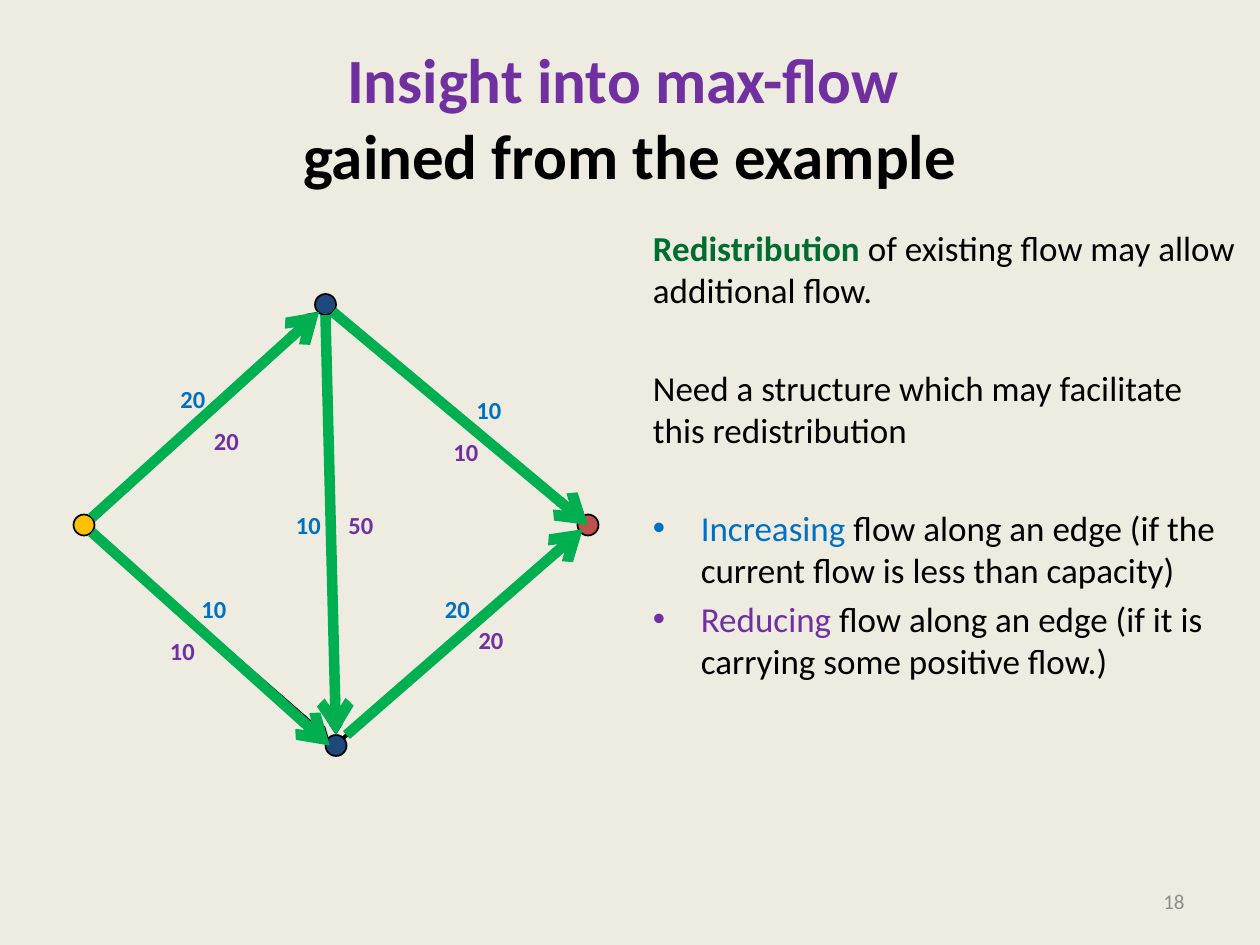
"""Build a slide on redistributing flow in a max-flow network."""
from typing import NamedTuple

import lxml.etree
import pptx
import pptx.dml.color
import pptx.enum.shapes
import pptx.enum.text
import pptx.oxml.ns
import pptx.util

RGBColor = pptx.dml.color.RGBColor
Align = pptx.enum.text.PP_ALIGN
Anchor = pptx.enum.text.MSO_ANCHOR

BLACK = RGBColor(0x00, 0x00, 0x00)
PAPER = RGBColor(0xEE, 0xEC, 0xE1)
PURPLE = RGBColor(0x70, 0x30, 0xA0)
BLUE = RGBColor(0x00, 0x70, 0xC0)
GREEN = RGBColor(0x00, 0xB0, 0x50)
DARK_GREEN = RGBColor(0x00, 0x6C, 0x31)
NAVY = RGBColor(0x1F, 0x49, 0x7D)
GOLD = RGBColor(0xFF, 0xC0, 0x00)
RED = RGBColor(0xC0, 0x50, 0x4D)
GRAY = RGBColor(0x8C, 0x8C, 0x8C)

COLUMNS, ROWS = 120, 90
CELL = pptx.util.Inches(10) // COLUMNS
FONT = "Calibri"
BULLET_INDENT = pptx.util.Inches(0.38)


class Point(NamedTuple):
    """A place on the grid, in columns and rows."""
    column: float
    row: float


class Node(NamedTuple):
    """A vertex of the network."""
    center: Point
    color: RGBColor


class Edge(NamedTuple):
    """A directed edge with the ends of its flow arrow."""
    tail: Point
    head: Point
    flow_tail: Point
    flow_head: Point


class Label(NamedTuple):
    """A number beside an edge."""
    text: str
    corner: Point
    color: RGBColor


class Statement(NamedTuple):
    """A sentence that opens with a highlighted word."""
    lead: str
    rest: str
    color: RGBColor = BLACK
    bold: bool = False
    bullet: bool = False
    space: float = 0


NODES = [
    Node(Point(8, 50), GOLD),
    Node(Point(31, 29), NAVY),
    Node(Point(32, 71), NAVY),
    Node(Point(56, 50), RED),
]
EDGES = [
    Edge(Point(8.75, 49.3), Point(30.3, 29.7), Point(8.75, 49.3), Point(30.4, 29.7)),
    Edge(Point(31, 30), Point(32, 70), Point(31, 30), Point(32, 70)),
    Edge(Point(32.7, 70.3), Point(55.3, 50.7), Point(33, 70), Point(55.5, 50.4)),
    Edge(Point(8.75, 50.7), Point(31.3, 70.3), Point(8.75, 50.7), Point(31.4, 71)),
    Edge(Point(31.7, 29.7), Point(55.3, 49.3), Point(31.7, 29.7), Point(56, 50)),
]
LABELS = [
    Label("20", Point(16, 36), BLUE),
    Label("20", Point(19.2, 40), PURPLE),
    Label("10", Point(44.2, 37), BLUE),
    Label("10", Point(42, 41), PURPLE),
    Label("10", Point(27, 48), BLUE),
    Label("50", Point(32, 48), PURPLE),
    Label("10", Point(18, 56), BLUE),
    Label("10", Point(15, 60), PURPLE),
    Label("20", Point(41.2, 56), BLUE),
    Label("20", Point(44.4, 58.9), PURPLE),
]
STATEMENTS = [
    Statement("Redistribution", " of existing flow may allow additional flow.", DARK_GREEN, bold=True),
    Statement("Need", " a structure which may facilitate this redistribution", space=32),
    Statement("Increasing", " flow along an edge (if the current flow is less than capacity)",
              BLUE, bullet=True, space=32),
    Statement("Reducing", " flow along an edge (if it is carrying some positive flow.)",
              PURPLE, bullet=True, space=4),
]


def cells(count: float) -> int:
    """Turn a count of grid cells into a length."""
    return round(count * CELL)


def add_box(page, corner: Point, width: float, height: float, *, anchor=Anchor.TOP, wrap=True):
    """Add a text box and return its text frame."""
    box = page.shapes.add_textbox(*map(cells, (*corner, width, height)))
    frame = box.text_frame
    frame.word_wrap = wrap
    frame.vertical_anchor = anchor
    return frame


def add_span(para, text: str, *, size: float, color: RGBColor = BLACK, bold: bool = False) -> None:
    """Add formatted text to a paragraph."""
    span = para.add_run()
    span.text = text
    span.font.name = FONT
    span.font.size = pptx.util.Pt(size)
    span.font.bold = bold
    span.font.color.rgb = color


def add_bullet(para) -> None:
    """Give a paragraph a bullet and a hanging indent."""
    settings = para._p.get_or_add_pPr()
    settings.set("marL", str(BULLET_INDENT))
    settings.set("indent", str(-BULLET_INDENT))
    qn = pptx.oxml.ns.qn
    lxml.etree.SubElement(settings, qn("a:buFont"), typeface="Arial")
    lxml.etree.SubElement(settings, qn("a:buChar"), char="•")


def add_arrow(page, tail: Point, head: Point, color: RGBColor, width: float) -> None:
    """Draw an arrow from tail to head."""
    straight = pptx.enum.shapes.MSO_CONNECTOR.STRAIGHT
    arrow = page.shapes.add_connector(straight, *map(cells, (*tail, *head)))
    arrow.line.color.rgb = color
    arrow.line.width = pptx.util.Pt(width)
    qn = pptx.oxml.ns.qn
    lxml.etree.SubElement(arrow.line._get_or_add_ln(), qn("a:tailEnd"), type="arrow")
    lxml.etree.SubElement(arrow._element.spPr, qn("a:effectLst"))


def add_node(page, node: Node) -> None:
    """Draw a vertex as a circle two cells wide."""
    oval = pptx.enum.shapes.MSO_SHAPE.OVAL
    corner = (node.center.column - 1, node.center.row - 1)
    circle = page.shapes.add_shape(oval, *map(cells, (*corner, 2, 2)))
    circle.shadow.inherit = False
    circle.fill.solid()
    circle.fill.fore_color.rgb = node.color
    circle.line.color.rgb = BLACK
    circle.line.width = pptx.util.Pt(1)


def add_statements(page) -> None:
    """Write the insights beside the network."""
    frame = add_box(page, Point(61, 21), 58, 59.4)
    for index, statement in enumerate(STATEMENTS):
        para = frame.add_paragraph() if index else frame.paragraphs[0]
        if statement.bullet:
            add_bullet(para)
        para.space_before = pptx.util.Pt(statement.space)
        add_span(para, statement.lead, size=20, color=statement.color, bold=statement.bold)
        add_span(para, statement.rest, size=20)


def main() -> None:
    """Build and save the deck."""
    deck = pptx.Presentation()
    deck.slide_width, deck.slide_height = cells(COLUMNS), cells(ROWS)
    page = deck.slides.add_slide(deck.slide_layouts[6])
    page.background.fill.solid()
    page.background.fill.fore_color.rgb = PAPER

    title = add_box(page, Point(6, 3.6), 108, 15, anchor=Anchor.MIDDLE).paragraphs[0]
    title.alignment = Align.CENTER
    add_span(title, "Insight into max-flow ", size=36, color=PURPLE, bold=True)
    title.add_line_break()
    add_span(title, "gained from the example", size=36, bold=True)
    add_statements(page)
    number = add_box(page, Point(86, 83.4), 28, 4.8, anchor=Anchor.MIDDLE).paragraphs[0]
    number.alignment = Align.RIGHT
    add_span(number, "18", size=12, color=GRAY)

    for edge in EDGES:
        add_arrow(page, edge.tail, edge.head, BLACK, 2.25)
    for node in NODES:
        add_node(page, node)
    for edge in EDGES:
        add_arrow(page, edge.flow_tail, edge.flow_head, GREEN, 6)
    for label in LABELS:
        frame = add_box(page, label.corner, 4.8, 4, wrap=False)
        add_span(frame.paragraphs[0], label.text, size=14, color=label.color, bold=True)
    deck.save("out.pptx")


if __name__ == "__main__":
    main()
